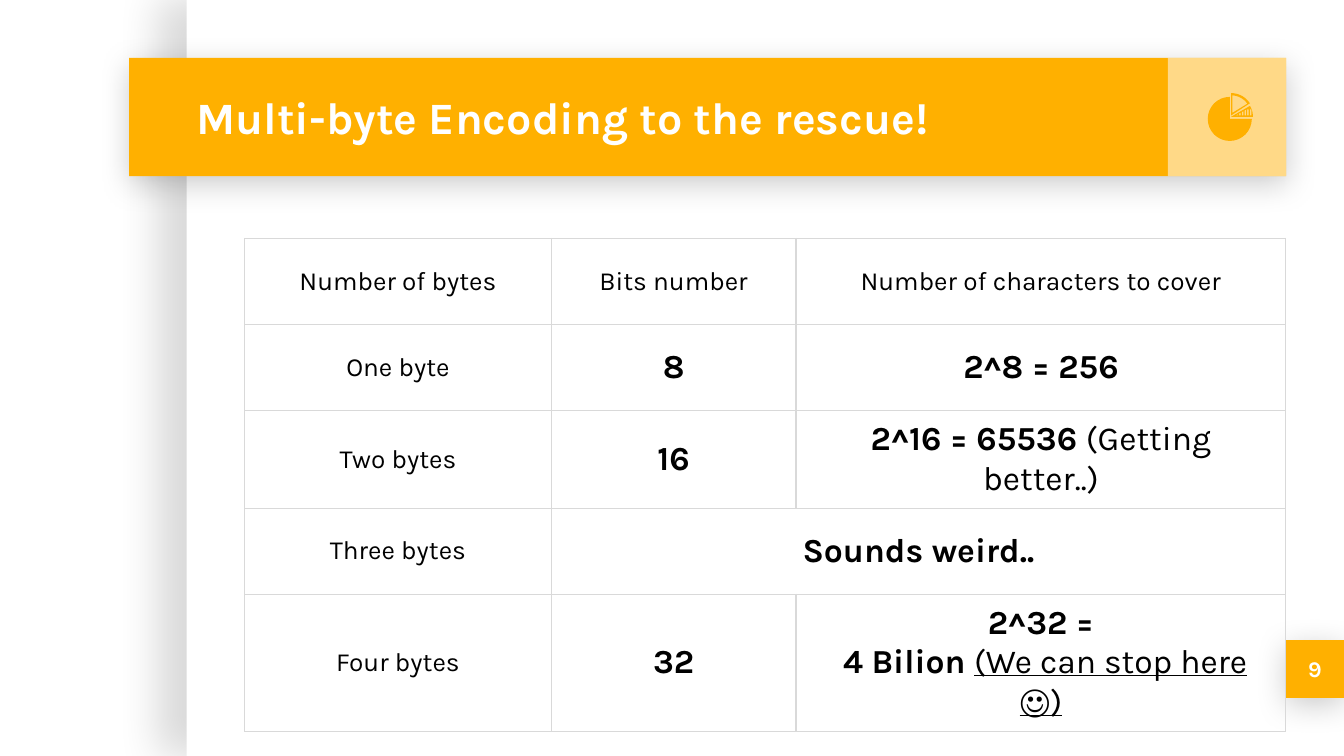
from math import cos, radians, sin

from lxml.etree import SubElement
from pptx import Presentation
from pptx.dml.color import RGBColor
from pptx.enum.shapes import MSO_SHAPE
from pptx.enum.text import MSO_ANCHOR, MSO_AUTO_SIZE, PP_ALIGN
from pptx.oxml.ns import qn
from pptx.util import Pt

WHITE = RGBColor(0xFF, 0xFF, 0xFF)
BLACK = RGBColor(0, 0, 0)
AMBER = RGBColor(0xFF, 0xB0, 0x00)
GRID = RGBColor(0xD9, 0xD9, 0xD9)
FONT = "Karla"
TITLE_ONLY = 5

PANEL_SHADOW = dict(alpha=15, blur=22.5, distance=15, angle=180)
BAND_SHADOW = dict(alpha=20, blur=16.9, distance=3.8, angle=90)

COLUMN_WIDTHS = (164.1, 131.2, 262.4)
ROW_HEIGHT = 46.1
# A cell is a list of paragraphs; a paragraph is a list of (text, style) runs.
PLAIN, BOLD, UNDERLINED = {}, {"bold": True}, {"underline": True}
ROWS = [
    ["Number of bytes", "Bits number", "Number of characters to cover"],
    ["One byte", [[("8", BOLD)]], [[("2^8 = 256", BOLD)]]],
    ["Two bytes", [[("16", BOLD)]],
     [[("2^16 = 65536 ", BOLD), ("(Getting better..)", PLAIN)]]],
    ["Three bytes", [[("Sounds weird..", BOLD)]], None],
    ["Four bytes", [[("32", BOLD)]],
     [[("2^32 =", BOLD)],
      [(" 4 Bilion ", BOLD), ("(We can stop here ☺)", UNDERLINED)]]],
]


def arc(x, y, radius, start, end, steps=24):
    """Points along a clockwise arc, angles in degrees from the right."""
    angles = [radians(start + (end - start) * i / steps) for i in range(steps + 1)]
    return [(x + radius * cos(a), y + radius * sin(a)) for a in angles]


class SlideBuilder:
    def __init__(self, presentation):
        self.slide = presentation.slides.add_slide(presentation.slide_layouts[TITLE_ONLY])
        self.shapes = self.slide.shapes

    def set_font(self, font, size, color, bold=False):
        font.name, font.size, font.bold = FONT, Pt(size), bold
        font.color.rgb = color

    def paint(self, shape, color):
        shape.fill.solid()
        shape.fill.fore_color.rgb = color
        shape.line.fill.background()
        shape.shadow.inherit = False

    def rectangle(self, left, top, width, height, color, shadow=None, opacity=None):
        shape = self.shapes.add_shape(
            MSO_SHAPE.RECTANGLE, Pt(left), Pt(top), Pt(width), Pt(height))
        self.paint(shape, color)
        properties = shape._element.spPr
        if opacity:
            fill_color = properties.find(qn("a:solidFill"))[0]
            SubElement(fill_color, qn("a:alpha"), val=str(opacity * 1000))
        if shadow:
            outer = SubElement(
                properties.find(qn("a:effectLst")), qn("a:outerShdw"),
                blurRad=str(Pt(shadow["blur"])), dist=str(Pt(shadow["distance"])),
                dir=str(shadow["angle"] * 60000), algn="ctr", rotWithShape="0")
            shadow_color = SubElement(outer, qn("a:srgbClr"), val=str(BLACK))
            SubElement(shadow_color, qn("a:alpha"), val=str(shadow["alpha"] * 1000))

    def title(self, text, left, top, width, height):
        title = self.shapes.title
        title.left, title.top, title.width, title.height = map(Pt, (left, top, width, height))
        self.shapes._spTree.append(title._element)  # in front of the band
        frame = title.text_frame
        frame.auto_size = MSO_AUTO_SIZE.NONE
        frame.vertical_anchor = MSO_ANCHOR.MIDDLE
        frame.margin_left = Pt(12.2)
        frame.text = text
        frame.paragraphs[0].alignment = PP_ALIGN.LEFT
        self.set_font(frame.paragraphs[0].font, 24, WHITE, bold=True)

    def label(self, text, left, top, width, height):
        frame = self.shapes.add_textbox(Pt(left), Pt(top), Pt(width), Pt(height)).text_frame
        frame.word_wrap = True
        frame.vertical_anchor = MSO_ANCHOR.MIDDLE
        frame.text = text
        frame.paragraphs[0].alignment = PP_ALIGN.CENTER
        self.set_font(frame.paragraphs[0].font, 12, WHITE, bold=True)

    def table(self, rows, left, top):
        table = self.shapes.add_table(
            len(rows), len(COLUMN_WIDTHS), Pt(left), Pt(top),
            Pt(sum(COLUMN_WIDTHS)), Pt(ROW_HEIGHT * len(rows))).table
        table.first_row = table.horz_banding = False
        for column, width in zip(table.columns, COLUMN_WIDTHS):
            column.width = Pt(width)
        for row_index, row in enumerate(rows):
            table.rows[row_index].height = Pt(ROW_HEIGHT)
            for column_index, content in enumerate(row):
                cell = table.cell(row_index, column_index)
                self.style_cell(cell)
                if content is None:
                    table.cell(row_index, column_index - 1).merge(cell)
                else:
                    self.fill_cell(cell, content)

    def style_cell(self, cell):
        cell.vertical_anchor = MSO_ANCHOR.MIDDLE
        cell.margin_left = cell.margin_right = Pt(7.2)
        cell.margin_top = cell.margin_bottom = Pt(5)
        properties = cell._tc.get_or_add_tcPr()
        for side in ("lnL", "lnR", "lnT", "lnB"):
            border = SubElement(properties, qn(f"a:{side}"), w=str(Pt(0.75)))
            fill = SubElement(border, qn("a:solidFill"))
            SubElement(fill, qn("a:srgbClr"), val=str(GRID))
        cell.fill.background()

    def fill_cell(self, cell, content):
        size = 18
        if isinstance(content, str):
            content, size = [[(content, PLAIN)]], 14
        frame = cell.text_frame
        for index, runs in enumerate(content):
            paragraph = frame.add_paragraph() if index else frame.paragraphs[0]
            paragraph.alignment = PP_ALIGN.CENTER
            for text, style in runs:
                run = paragraph.add_run()
                run.text = text
                self.set_font(run.font, size, BLACK, style.get("bold", False))
                run.font.underline = style.get("underline")

    def outline(self, *contours):
        """Filled freeform; contours after the first cut holes."""
        contours = [[(Pt(x), Pt(y)) for x, y in contour] for contour in contours]
        builder = self.shapes.build_freeform(*contours[0][0], scale=1.0)
        for index, contour in enumerate(contours):
            if index:
                builder.move_to(*contour[0])
            builder.add_line_segments(contour[1:], close=True)
        self.paint(builder.convert_to_shape(), AMBER)

    def pie_icon(self):
        self.outline([(658.8, 63.7)] + arc(658.8, 63.7, 11.8, 0, 270))
        bars, bottom = [], 61.9
        for index in range(6):
            left = 662.4 + 1.44 * index
            right = left + 0.8
            heights = [min(0.55 * (x - 661.9), 3.3) for x in (left, right)]
            bars.append([(left, bottom), (left, bottom - heights[0]),
                         (right, bottom - heights[1]), (right, bottom)])
        self.outline([(659.5, 62.6)] + arc(659.5, 62.6, 11.7, -30, 0), *bars)
        self.outline([(659.5, 61.9)] + arc(659.5, 61.9, 12, -90, -33),
                     [(660.2, 60.5)] + arc(659.5, 61.9, 10.8, -86, -36))


def main():
    presentation = Presentation()
    presentation.slide_width, presentation.slide_height = Pt(720), Pt(405)
    builder = SlideBuilder(presentation)
    page_tab = (689, 342.9, 31, 31)
    builder.rectangle(100, 0, 620, 405, WHITE, PANEL_SHADOW)
    builder.rectangle(*page_tab, AMBER, BAND_SHADOW)
    builder.rectangle(69.1, 31, 619.9, 63.4, AMBER, BAND_SHADOW)
    builder.rectangle(625.6, 31, 63.4, 63.4, WHITE, opacity=53)
    builder.title("Multi-byte Encoding to the rescue!", 92.9, 31, 530.6, 63.4)
    builder.table(ROWS, 131.2, 127.8)
    builder.label("9", *page_tab)
    builder.pie_icon()
    presentation.save("out.pptx")


if __name__ == "__main__":
    main()
